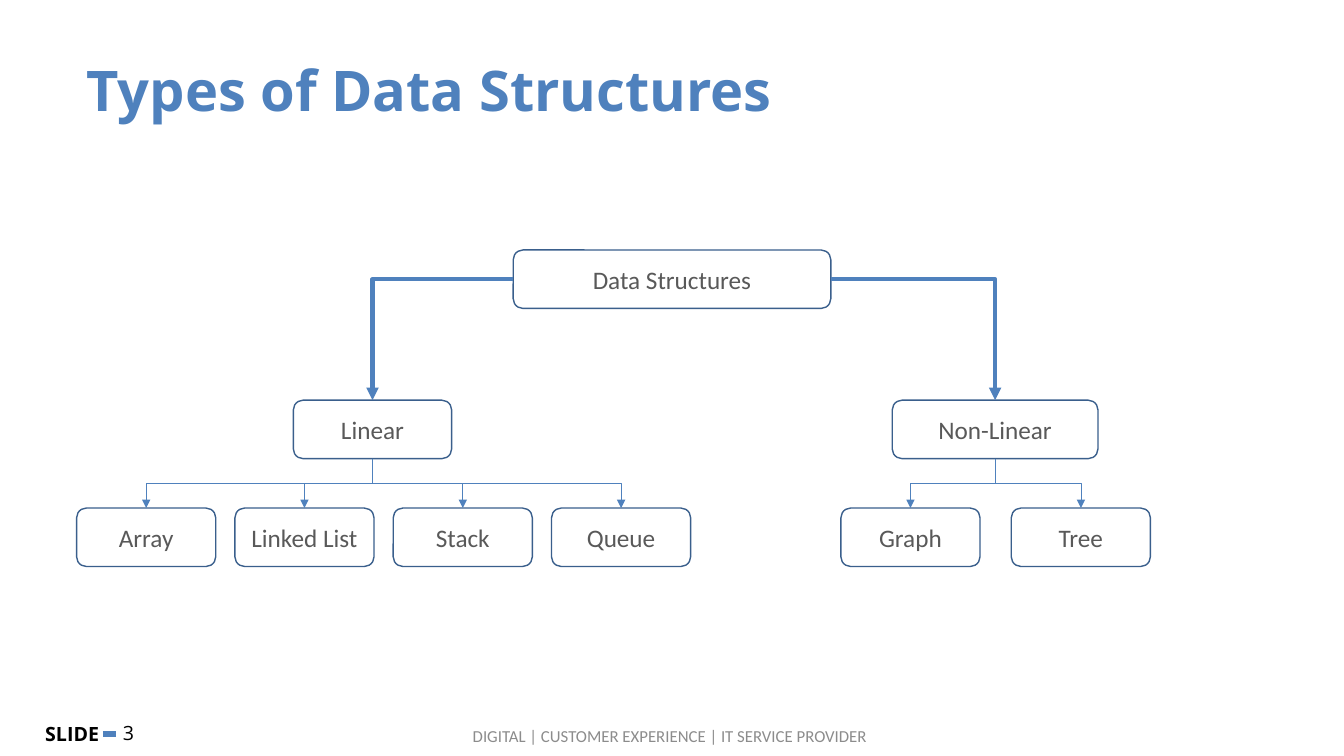
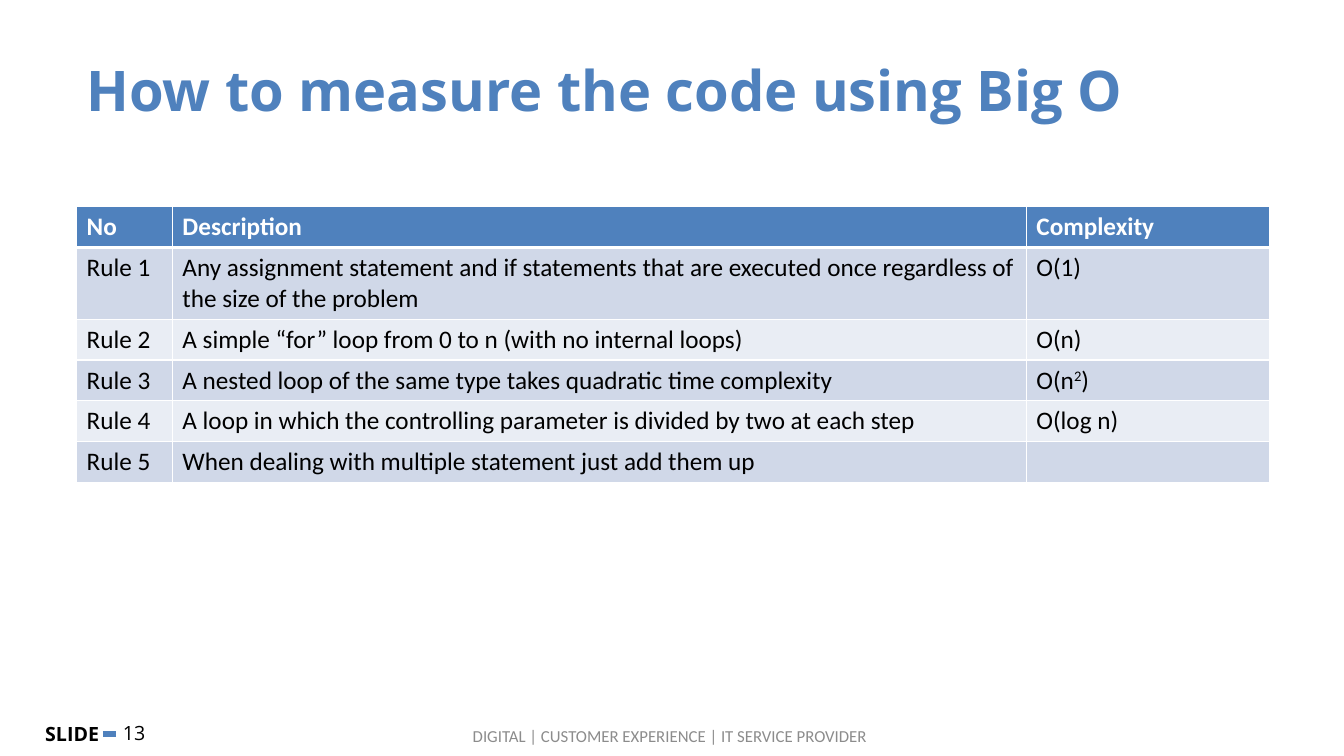
from lxml import etree
from pptx import Presentation
from pptx.dml.color import RGBColor
from pptx.enum.shapes import MSO_CONNECTOR, MSO_SHAPE
from pptx.enum.text import MSO_ANCHOR, MSO_AUTO_SIZE, PP_ALIGN
from pptx.oxml.ns import qn
from pptx.util import Inches, Pt

BLUE = RGBColor(0x4F, 0x81, 0xBD)
DARK_BLUE = RGBColor(0x3A, 0x5F, 0x8C)
BAND_DARK = RGBColor(0xD0, 0xD8, 0xE8)
BAND_LIGHT = RGBColor(0xE9, 0xED, 0xF4)
GRAY = RGBColor(0x59, 0x59, 0x59)
FOOTER_GRAY = RGBColor(0x8C, 0x8C, 0x8C)
BLACK = RGBColor(0, 0, 0)
WHITE = RGBColor(0xFF, 0xFF, 0xFF)

HEAD_FONT, BODY_FONT = "Open Sans", "Calibri"
STRAIGHT, ELBOW = MSO_CONNECTOR.STRAIGHT, MSO_CONNECTOR.ELBOW
ROUNDED = MSO_SHAPE.ROUNDED_RECTANGLE
LEFT, CENTER = PP_ALIGN.LEFT, PP_ALIGN.CENTER
TOP, MIDDLE = MSO_ANCHOR.TOP, MSO_ANCHOR.MIDDLE
NO_FIT = MSO_AUTO_SIZE.NONE
TITLE_ONLY = 5
SITE_TOP, SITE_LEFT, SITE_BOTTOM, SITE_RIGHT = range(4)

MARGIN = 0.76
BOX_H = 0.58
LEAF_W = 1.38


class Deck:
    """Shared style and the slide being filled."""

    def __init__(self):
        self.prs = Presentation()
        self.prs.slide_width = Inches(13.33)
        self.prs.slide_height = Inches(7.5)
        self.s = None

    def slide(self, title, number):
        self.s = self.prs.slides.add_slide(self.prs.slide_layouts[TITLE_ONLY])
        # Title
        sp = self.s.shapes.title
        sp.left, sp.top = Inches(MARGIN), Inches(0.5)
        sp.width, sp.height = Inches(11.83), Inches(0.77)
        self.put_text(sp, title, 40, BLUE, HEAD_FONT, bold=True)
        # Footer
        self.label("DIGITAL | CUSTOMER EXPERIENCE | IT SERVICE PROVIDER",
                   4.59, 7.1, 4.14, 0.4, 12, FOOTER_GRAY, BODY_FONT, anchor=MIDDLE)
        self.label(str(number), 1.12, 7.1, 0.71, 0.34, 14, BLACK, HEAD_FONT)
        self.label("SLIDE", 0.35, 7.11, 0.82, 0.34, 14, BLACK, HEAD_FONT, bold=True)
        dash = self.s.shapes.add_connector(
            STRAIGHT, Inches(1.02), Inches(7.28), Inches(1.15), Inches(7.28))
        self.stroke(dash, 4.5)

    def style(self, p, size, color, font, bold=False, align=LEFT):
        p.alignment = align
        p.font.size, p.font.name, p.font.bold = Pt(size), font, bold
        p.font.color.rgb = color

    def put_text(self, sp, text, size, color, font, bold=False, align=LEFT, anchor=TOP):
        tf = sp.text_frame
        tf.word_wrap, tf.auto_size, tf.vertical_anchor = True, NO_FIT, anchor
        tf.text = text
        self.style(tf.paragraphs[0], size, color, font, bold, align)

    def label(self, text, x, y, w, h, size, color, font, **options):
        sp = self.s.shapes.add_textbox(Inches(x), Inches(y), Inches(w), Inches(h))
        self.put_text(sp, text, size, color, font, **options)

    def box(self, text, x, y, w):
        sp = self.s.shapes.add_shape(ROUNDED, Inches(x), Inches(y), Inches(w), Inches(BOX_H))
        sp.shadow.inherit = False
        sp.fill.background()
        sp.line.color.rgb = DARK_BLUE
        sp.line.width = Pt(1)
        self.put_text(sp, text, 18, GRAY, BODY_FONT, align=CENTER, anchor=MIDDLE)
        return sp

    def stroke(self, cxn, width, arrow=False):
        cxn.line.color.rgb = BLUE
        cxn.line.width = Pt(width)
        if arrow:
            etree.SubElement(cxn.get_or_add_ln(), qn("a:tailEnd"), type="triangle")
        etree.SubElement(cxn._element.spPr, qn("a:effectLst"))

    def elbow(self, parent, site, child, width):
        cxn = self.s.shapes.add_connector(ELBOW, 0, 0, 0, 0)
        cxn.begin_connect(parent, site)
        cxn.end_connect(child, SITE_TOP)
        self.stroke(cxn, width, arrow=True)
        return cxn

    def trunk(self, parent, site, child):
        """One bend: sideways out of the parent, then down."""
        cxn = self.elbow(parent, site, child, 3)
        cxn._element.spPr.find(qn("a:prstGeom")).set("prst", "bentConnector2")

    def branch(self, parent, child):
        """Two bends: down, sideways, down; a turned elbow."""
        cxn = self.elbow(parent, SITE_BOTTOM, child, 0.5)
        to_right = cxn.end_x > cxn.begin_x
        x, y, w, h = cxn.left, cxn.top, cxn.width, cxn.height
        cxn.left, cxn.top = x + (w - h) // 2, y + (h - w) // 2
        cxn.width, cxn.height = h, w
        xfrm = cxn._element.spPr.find(qn("a:xfrm"))
        xfrm.set("rot", str((270 if to_right else 90) * 60000))
        xfrm.set("flipH", "1" if to_right else "0")

    def leaves(self, parent, names, x, pitch):
        for i, name in enumerate(names):
            self.branch(parent, self.box(name, x + i * pitch, 5.04, LEAF_W))

    def cell(self, cell, text, fill, color, bold, bottom):
        cell.fill.solid()
        cell.fill.fore_color.rgb = fill
        p = cell.text_frame.paragraphs[0]
        self.style(p, 18, color, BODY_FONT, bold)
        # Text between carets is superscript
        for i, part in enumerate(text.split("^") if text else []):
            r = p.add_run()
            r.text = part
            if i % 2:
                r._r.get_or_add_rPr().set("baseline", "30000")
        # Borders come before the fill
        for i, side in enumerate("LRTB"):
            width = Pt(bottom if side == "B" else 1)
            ln = etree.Element(qn("a:ln" + side), w=str(width))
            solid = etree.SubElement(ln, qn("a:solidFill"))
            etree.SubElement(solid, qn("a:srgbClr"), val=str(WHITE))
            cell._tc.tcPr.insert(i, ln)

    def table(self, rows, x, y, widths, heights):
        frame = self.s.shapes.add_table(len(rows), len(widths), Inches(x), Inches(y),
                                        Inches(sum(widths)), Inches(sum(heights)))
        table = frame.table
        for col, w in zip(table.columns, widths):
            col.width = Inches(w)
        for i, (row, h) in enumerate(zip(rows, heights)):
            table.rows[i].height = Inches(h)
            if i == 0:
                look = BLUE, WHITE, True, 3
            else:
                look = BAND_DARK if i % 2 else BAND_LIGHT, BLACK, False, 1
            for j, text in enumerate(row):
                self.cell(table.cell(i, j), text, *look)


def main():
    deck = Deck()

    # Tree of data structures
    deck.slide("Types of Data Structures", 3)
    root = deck.box("Data Structures", 5.09, 2.48, 3.15)
    linear = deck.box("Linear", 2.91, 3.97, 1.57)
    non_linear = deck.box("Non-Linear", 8.85, 3.97, 2.04)
    deck.trunk(root, SITE_LEFT, linear)
    deck.trunk(root, SITE_RIGHT, non_linear)
    deck.leaves(linear, ["Array", "Linked List", "Stack", "Queue"], MARGIN, 1.57)
    deck.leaves(non_linear, ["Graph", "Tree"], 8.34, 1.69)

    # Table of Big O rules
    deck.slide("How to measure the code using Big O", 13)
    rules = [
        ("Any assignment statement and if statements that are executed once "
         "regardless of the size of the problem", "O(1)"),
        ("A simple “for” loop from 0 to n (with no internal loops)", "O(n)"),
        ("A nested loop of the same type takes quadratic time complexity", "O(n^2^)"),
        ("A loop in which the controlling parameter is divided by two at each step",
         "O(log n)"),
        ("When dealing with multiple statement just add them up", ""),
    ]
    rows = [("No", "Description", "Complexity")]
    rows += [(f"Rule {n}", *rule) for n, rule in enumerate(rules, 1)]
    deck.table(rows, MARGIN, 2.05, [0.95, 8.47, 2.41], [0.4, 0.71] + [0.4] * 4)

    deck.prs.save("out.pptx")


if __name__ == "__main__":
    main()
